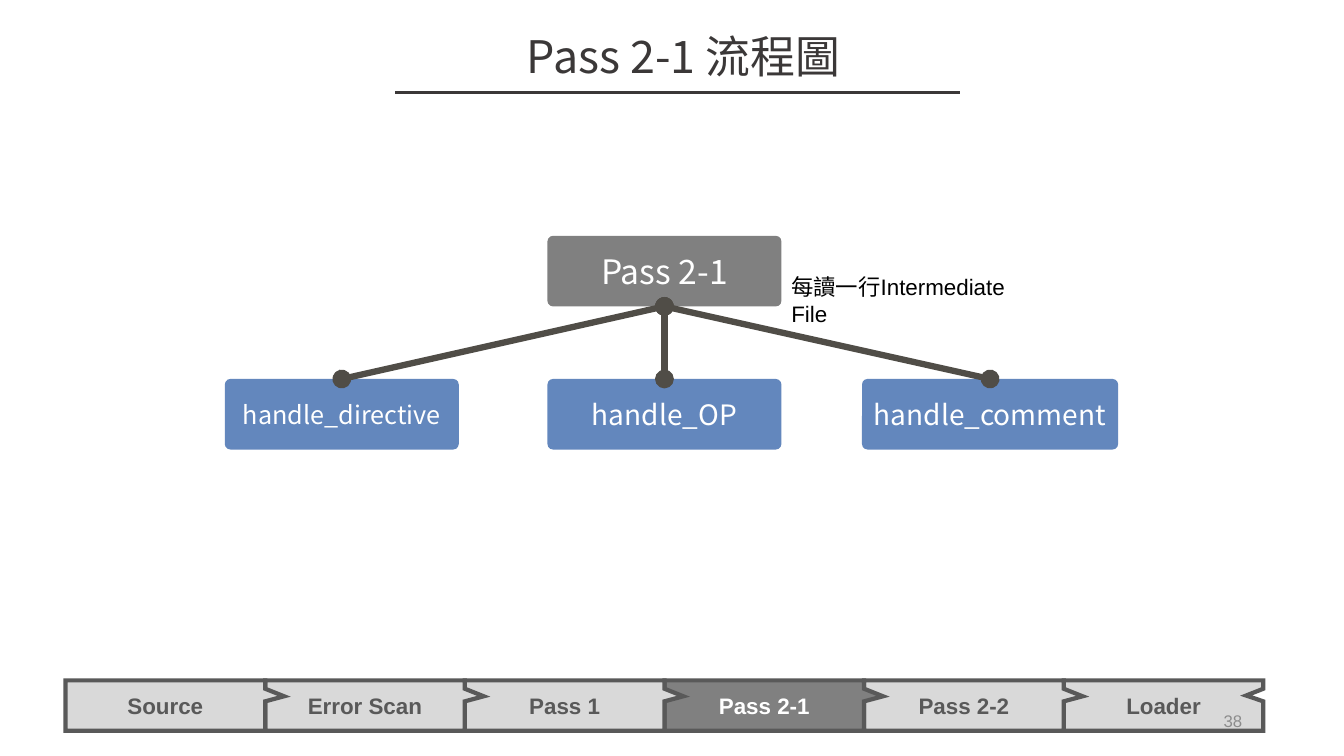
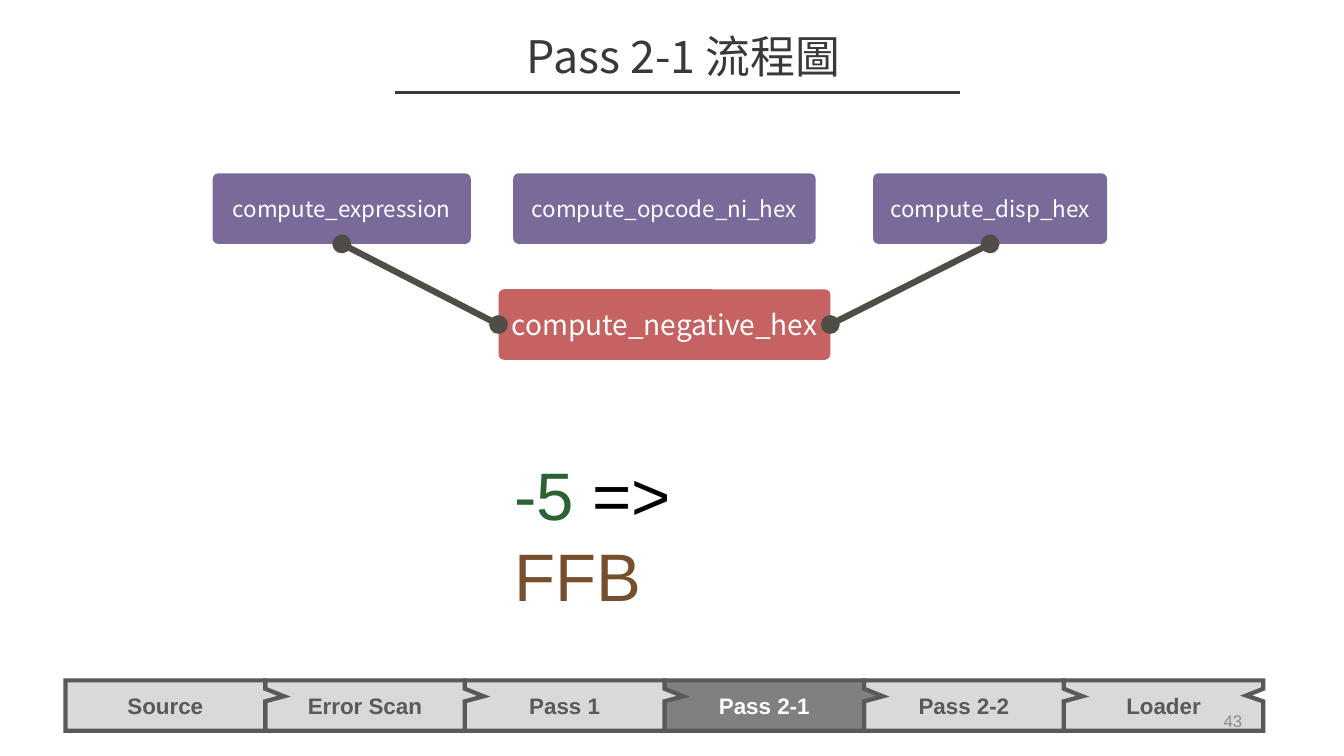
"""Two flow-chart slides for Pass 2-1 with a shared title and progress bar."""
from lxml import etree
from pptx import Presentation
from pptx.dml.color import RGBColor
from pptx.enum import shapes, text
from pptx.oxml import ns
from pptx.util import Inches, Pt

INK = RGBColor(0x3B, 0x38, 0x38)
BLACK = RGBColor(0, 0, 0)
WHITE = RGBColor(0xFF, 0xFF, 0xFF)
GRAY = RGBColor(0x80, 0x80, 0x80)
LIGHT = RGBColor(0xD9, 0xD9, 0xD9)
DARK = RGBColor(0x59, 0x59, 0x59)
PAGE_GRAY = RGBColor(0x8C, 0x8C, 0x8C)
LINK = RGBColor(0x50, 0x4D, 0x47)
BLUE = RGBColor(0x63, 0x87, 0xBD)
PURPLE = RGBColor(0x7A, 0x6A, 0x9A)
RED = RGBColor(0xC5, 0x63, 0x63)
GREEN = RGBColor(0x2B, 0x63, 0x34)
BROWN = RGBColor(0x76, 0x50, 0x2E)

SANS, CJK = "Arial", "Noto Sans CJK SC"
TITLE = "Pass 2-1 流程圖"
STAGES = ["Source", "Error Scan", "Pass 1", "Pass 2-1", "Pass 2-2", "Loader"]
CURRENT = "Pass 2-1"
STAGE_LEFT, STAGE_TOP, STAGE_WIDTH, STAGE_HEIGHT = 0.65, 6.75, 1.98, 0.5
COLUMNS = [3.39, 6.59, 9.82]
NODE_HEIGHT = 0.7
TOP, LEFT, BOTTOM, RIGHT = range(4)

# Nodes: label, column, top, width, size, fill. Links: node, side, node, side.
SLIDES = [
    {
        "page": "38",
        "nodes": [
            ("Pass 2-1", 1, 2.34, 2.32, 24, GRAY),
            ("handle_directive", 0, 3.76, 2.32, 18, BLUE),
            ("handle_OP", 1, 3.76, 2.32, 20, BLUE),
            ("handle_comment", 2, 3.76, 2.54, 20, BLUE),
        ],
        "links": [
            ("Pass 2-1", BOTTOM, "handle_directive", TOP),
            ("Pass 2-1", BOTTOM, "handle_OP", TOP),
            ("Pass 2-1", BOTTOM, "handle_comment", TOP),
        ],
        "note": ((7.75, 2.66, 2.7, 0.37), 16, [("每讀一行Intermediate File", BLACK)]),
    },
    {
        "page": "43",
        "nodes": [
            ("compute_expression", 0, 1.72, 2.56, 16, PURPLE),
            ("compute_opcode_ni_hex", 1, 1.72, 3, 16, PURPLE),
            ("compute_disp_hex", 2, 1.72, 2.32, 16, PURPLE),
            ("compute_negative_hex", 1, 2.87, 3.29, 20, RED),
        ],
        "links": [
            ("compute_expression", BOTTOM, "compute_negative_hex", LEFT),
            ("compute_disp_hex", BOTTOM, "compute_negative_hex", RIGHT),
        ],
        "note": ((5, 4.45, 3.1, 0.91), 48,
                 [("-5 ", GREEN), ("=> ", BLACK), ("FFB", BROWN)]),
    },
]


def write(shape, runs, size, font=SANS, align=text.PP_ALIGN.CENTER,
          anchor=text.MSO_ANCHOR.MIDDLE, bold=False):
    frame = shape.text_frame
    frame.word_wrap = True
    frame.vertical_anchor = anchor
    paragraph = frame.paragraphs[0]
    paragraph.alignment = align
    for words, color in runs:
        run = paragraph.add_run()
        run.text = words
        run.font.name = font
        run.font.size = Pt(size)
        run.font.bold = bold
        run.font.color.rgb = color
        east_asian = etree.SubElement(run.font._element, ns.qn("a:ea"))
        east_asian.set("typeface", CJK)


def add_text(slide, box, runs, size, **style):
    label = slide.shapes.add_textbox(*map(Inches, box))
    write(label, runs, size, **style)
    return label


def add_block(slide, preset, box, fill, adjustments):
    block = slide.shapes.add_shape(preset, *map(Inches, box))
    block.shadow.inherit = False
    block.fill.solid()
    block.fill.fore_color.rgb = fill
    block.line.fill.background()
    for index, value in enumerate(adjustments):
        block.adjustments[index] = value
    return block


def add_line(slide, color, width, start=(0, 0), end=(0, 0)):
    line = slide.shapes.add_connector(
        shapes.MSO_CONNECTOR.STRAIGHT, *map(Inches, (*start, *end)))
    line.line.color.rgb = color
    line.line.width = Pt(width)
    etree.SubElement(line._element.spPr, ns.qn("a:effectLst"))
    return line


def add_stages(slide):
    for index, stage in reversed(list(enumerate(STAGES))):
        active = stage == CURRENT
        pointer = (0.414, -0.199) if stage == STAGES[-1] else (0.595, -0.184)
        box = (STAGE_LEFT + index * STAGE_WIDTH, STAGE_TOP, STAGE_WIDTH, STAGE_HEIGHT)
        tab = add_block(slide, shapes.MSO_SHAPE.RECTANGULAR_CALLOUT, box,
                        GRAY if active else LIGHT, pointer)
        tab.line.color.rgb = DARK
        tab.line.width = Pt(3)
        outline = tab._element.spPr.find(ns.qn("a:ln"))
        etree.SubElement(outline, ns.qn("a:miter")).set("lim", "800000")
        write(tab, [(stage, WHITE if active else DARK)], 16, bold=True)


def add_frame(slide, page):
    add_stages(slide)
    add_text(slide, (3.75, 0.24, 6.06, 0.64), [(TITLE, INK)], 32,
             font=CJK, anchor=text.MSO_ANCHOR.TOP)
    add_line(slide, INK, 2, (3.92, 0.92), (9.52, 0.92))
    add_text(slide, (9.42, 6.95, 3, 0.4), [(page, PAGE_GRAY)], 12,
             align=text.PP_ALIGN.RIGHT)


def add_flow(slide, nodes, links):
    placed = {}
    for label, column, top, width, size, fill in nodes:
        box = (COLUMNS[column] - width / 2, top, width, NODE_HEIGHT)
        node = add_block(slide, shapes.MSO_SHAPE.ROUNDED_RECTANGLE, box, fill, [0.078])
        write(node, [(label, WHITE)], size, font=CJK)
        placed[label] = node
    for source, source_side, target, target_side in links:
        link = add_line(slide, LINK, 4.5)
        link.begin_connect(placed[source], source_side)
        link.end_connect(placed[target], target_side)
        outline = link._element.spPr.find(ns.qn("a:ln"))
        for end in ("a:headEnd", "a:tailEnd"):
            etree.SubElement(outline, ns.qn(end)).set("type", "oval")


def main():
    deck = Presentation()
    deck.slide_width, deck.slide_height = Inches(13.33), Inches(7.5)
    for content in SLIDES:
        slide = deck.slides.add_slide(deck.slide_layouts[6])
        add_frame(slide, content["page"])
        add_flow(slide, content["nodes"], content["links"])
        box, size, runs = content["note"]
        note = add_text(slide, box, runs, size, align=text.PP_ALIGN.LEFT,
                        anchor=text.MSO_ANCHOR.TOP)
        note.text_frame.auto_size = text.MSO_AUTO_SIZE.SHAPE_TO_FIT_TEXT
    deck.save("out.pptx")


if __name__ == "__main__":
    main()
